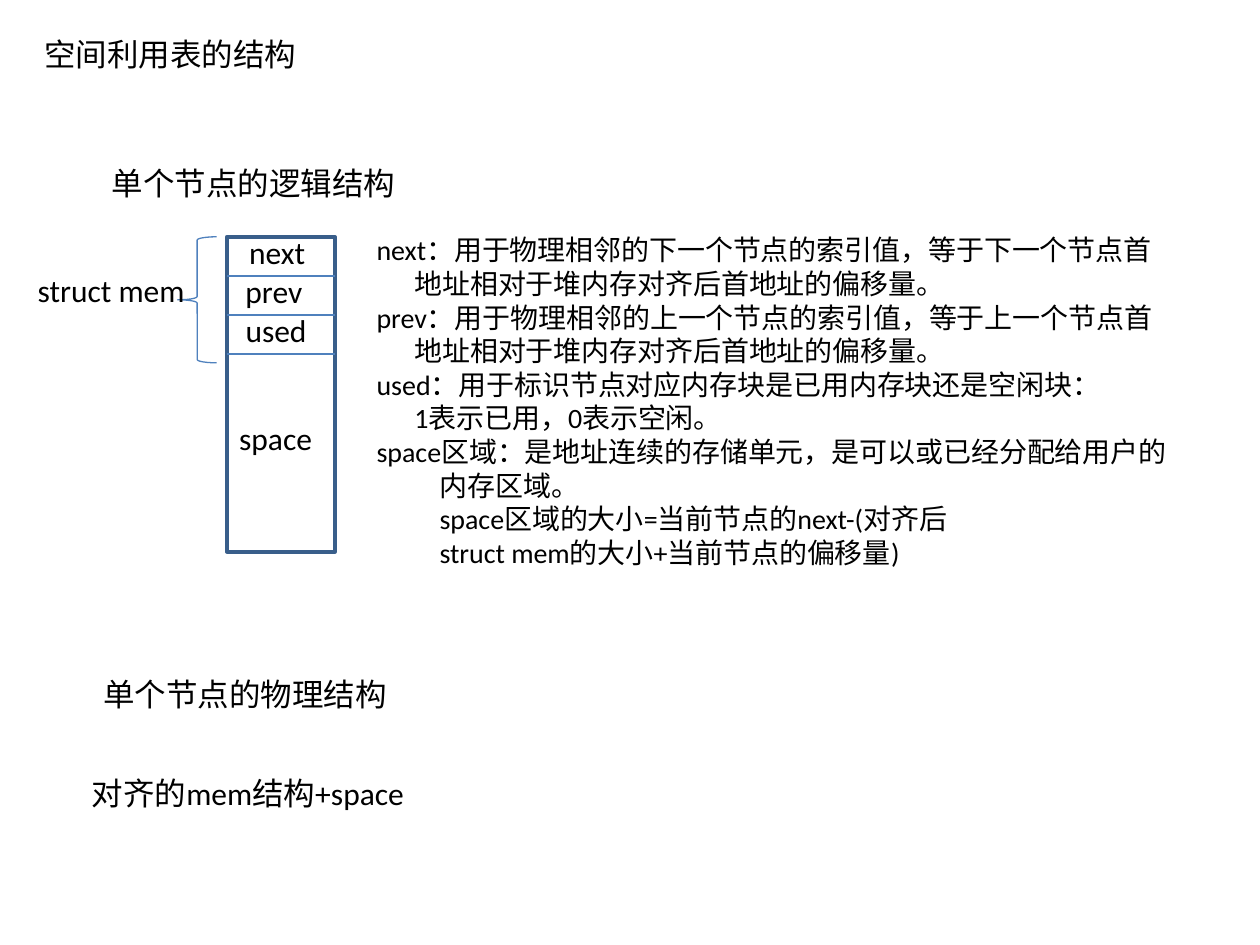
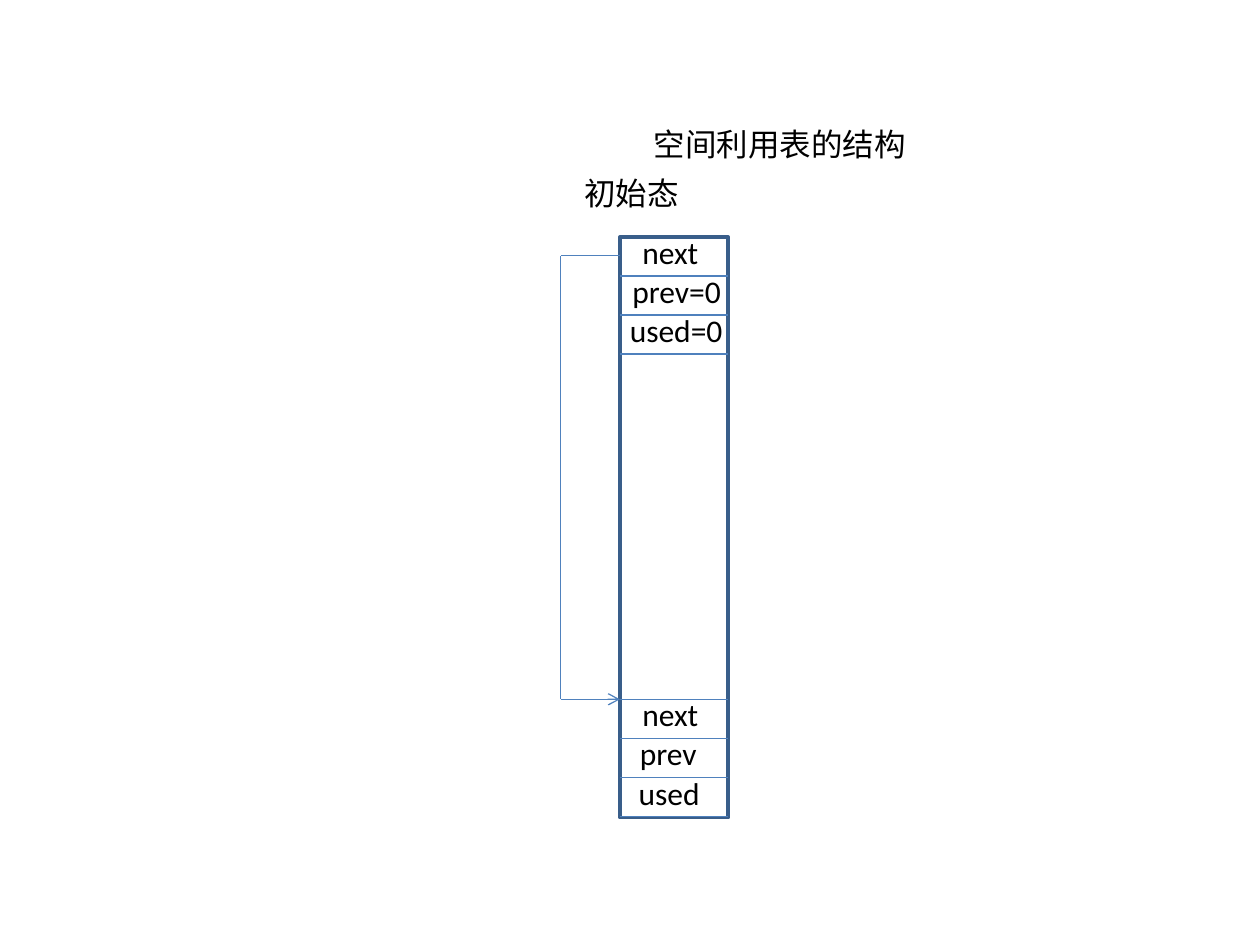
from dataclasses import dataclass

import pptx
import pptx.dml.color
import pptx.enum.shapes
import pptx.enum.text
import pptx.oxml
import pptx.oxml.ns
import pptx.presentation
import pptx.shapes.autoshape
import pptx.shapes.base
import pptx.shapes.connector
import pptx.slide
import pptx.util
from pptx.util import Inches

BLACK = pptx.dml.color.RGBColor(0x00, 0x00, 0x00)
BORDER_BLUE = pptx.dml.color.RGBColor(0x39, 0x5E, 0x8A)
LINE_BLUE = pptx.dml.color.RGBColor(0x4F, 0x81, 0xBD)
FONT = "Calibri"
TITLE = "空间利用表的结构"
TITLE_WIDTH = 2.23
TITLE_ONLY_LAYOUT = 5

TEXT_HEIGHT = 0.4
BLOCK_TOP = 1.88
BLOCK_WIDTH = 0.86
ROW_HEIGHT = 0.31
ROW_TEXT_RISE = 0.08  # a row's text box starts this far above the row


@dataclass(frozen=True)
class Label:
    text: str
    left: float
    top: float
    width: float


@dataclass(frozen=True)
class Field:
    """One row of a memory node; offset is measured from the block's left side."""
    text: str
    offset: float
    width: float


@dataclass(frozen=True)
class Line:
    text: str
    indent: float = 0


LOGICAL_FIELDS = [Field("next", 0.08, 0.67), Field("prev", 0.05, 0.67), Field("used", 0.05, 0.71)]
FIRST_NODE_FIELDS = [Field("next", 0.08, 0.67), Field("prev=0", 0, 0.92), Field("used=0", -0.02, 0.96)]
LAST_NODE_FIELDS = [Field("next", 0.08, 0.67), Field("prev", 0.06, 0.67), Field("used", 0.05, 0.71)]

LOGICAL_LABELS = [
    Label("struct mem", 0.2, 2.1, 1.39),
    Label("单个节点的逻辑结构", 0.79, 1.25, 2.47),
    Label("space", 1.8, 3.28, 0.8),
    Label("单个节点的物理结构", 0.72, 5.31, 2.47),
    Label("对齐的mem结构+space", 0.63, 6.09, 2.88),
]

FIELD_INDENT = 0.3
SPACE_INDENT = 0.5
EXPLANATION = [
    Line("next：用于物理相邻的下一个节点的索引值，等于下一个节点首"),
    Line("地址相对于堆内存对齐后首地址的偏移量。", FIELD_INDENT),
    Line("prev：用于物理相邻的上一个节点的索引值，等于上一个节点首"),
    Line("地址相对于堆内存对齐后首地址的偏移量。", FIELD_INDENT),
    Line("used：用于标识节点对应内存块是已用内存块还是空闲块："),
    Line("1表示已用，0表示空闲。", FIELD_INDENT),
    Line("space区域：是地址连续的存储单元，是可以或已经分配给用户的"),
    Line("内存区域。", SPACE_INDENT),
    Line("space区域的大小=当前节点的next-(对齐后", SPACE_INDENT),
    Line("struct mem的大小+当前节点的偏移量)", SPACE_INDENT),
]


def write_text(shape: pptx.shapes.autoshape.Shape, lines: list[Line], *,
               size: float = 18, wrap: bool = False) -> None:
    frame = shape.text_frame
    frame.word_wrap = wrap
    frame.auto_size = pptx.enum.text.MSO_AUTO_SIZE.SHAPE_TO_FIT_TEXT
    frame.vertical_anchor = pptx.enum.text.MSO_ANCHOR.TOP
    for index, line in enumerate(lines):
        paragraph = frame.add_paragraph() if index else frame.paragraphs[0]
        paragraph.alignment = pptx.enum.text.PP_ALIGN.LEFT
        if line.indent:
            paragraph._p.get_or_add_pPr().set("marL", str(Inches(line.indent)))
        run = paragraph.add_run()
        run.text = line.text
        run.font.name = FONT
        run.font.size = pptx.util.Pt(size)
        run.font.color.rgb = BLACK


def place(shape: pptx.shapes.base.BaseShape, left: float, top: float,
          width: float, height: float) -> None:
    shape.left, shape.top = Inches(left), Inches(top)
    shape.width, shape.height = Inches(width), Inches(height)


def add_titled_slide(presentation: pptx.presentation.Presentation,
                     left: float, top: float) -> pptx.slide.Slide:
    slide = presentation.slides.add_slide(presentation.slide_layouts[TITLE_ONLY_LAYOUT])
    title = slide.shapes.title
    place(title, left, top, TITLE_WIDTH, TEXT_HEIGHT)
    write_text(title, [Line(TITLE)])
    return slide


def add_label(slide: pptx.slide.Slide, label: Label) -> None:
    box = slide.shapes.add_textbox(Inches(label.left), Inches(label.top),
                                   Inches(label.width), Inches(TEXT_HEIGHT))
    write_text(box, [Line(label.text)])


def add_outline(slide: pptx.slide.Slide, kind: pptx.enum.shapes.MSO_SHAPE,
                left: float, top: float, width: float, height: float,
                color: pptx.dml.color.RGBColor, weight: float) -> None:
    """Add an unfilled preset shape."""
    shape = slide.shapes.add_shape(kind, Inches(left), Inches(top), Inches(width), Inches(height))
    shape.shadow.inherit = False
    shape.fill.background()
    shape.line.color.rgb = color
    shape.line.width = pptx.util.Pt(weight)


def add_line(slide: pptx.slide.Slide, start: tuple[float, float], end: tuple[float, float],
             arrow: bool = False) -> None:
    connector = slide.shapes.add_connector(
        pptx.enum.shapes.MSO_CONNECTOR.STRAIGHT,
        Inches(start[0]), Inches(start[1]), Inches(end[0]), Inches(end[1]))
    connector.line.color.rgb = LINE_BLUE
    connector.line.width = pptx.util.Pt(0.75)
    if arrow:
        tail = pptx.oxml.parse_xml(f'<a:tailEnd {pptx.oxml.ns.nsdecls("a")} type="arrow"/>')
        connector.line._get_or_add_ln().append(tail)
    effects = pptx.oxml.parse_xml(f'<a:effectLst {pptx.oxml.ns.nsdecls("a")}/>')
    connector._element.spPr.append(effects)


def add_block(slide: pptx.slide.Slide, left: float, height: float) -> None:
    add_outline(slide, pptx.enum.shapes.MSO_SHAPE.RECTANGLE,
                left, BLOCK_TOP, BLOCK_WIDTH, height, BORDER_BLUE, 2)


def add_divider(slide: pptx.slide.Slide, left: float, top: float) -> None:
    add_line(slide, (left, top), (left + BLOCK_WIDTH, top))


def add_fields(slide: pptx.slide.Slide, left: float, top: float, fields: list[Field]) -> None:
    """Stack the fields of a node, each closed by a divider."""
    for row, field in enumerate(fields):
        row_top = top + row * ROW_HEIGHT
        add_divider(slide, left, row_top + ROW_HEIGHT)
        add_label(slide, Label(field.text, left + field.offset, row_top - ROW_TEXT_RISE, field.width))


def build_node_slide(presentation: pptx.presentation.Presentation) -> None:
    slide = add_titled_slide(presentation, 0.25, 0.23)
    block_left = 1.8
    add_block(slide, block_left, 2.5)
    add_fields(slide, block_left, BLOCK_TOP, LOGICAL_FIELDS)
    add_outline(slide, pptx.enum.shapes.MSO_SHAPE.LEFT_BRACE,
                1.41, BLOCK_TOP, 0.31, 1, LINE_BLUE, 0.75)
    for label in LOGICAL_LABELS:
        add_label(slide, label)
    explanation = slide.shapes.add_textbox(Inches(2.89), Inches(1.8), Inches(6.72), Inches(3.03))
    write_text(explanation, EXPLANATION, size=16, wrap=True)


def build_initial_state_slide(presentation: pptx.presentation.Presentation) -> None:
    slide = add_titled_slide(presentation, 5.09, 0.94)
    add_label(slide, Label("初始态", 4.54, 1.33, 0.97))
    block_left, last_node_top = 4.92, 5.55
    add_block(slide, block_left, 4.61)
    add_fields(slide, block_left, BLOCK_TOP, FIRST_NODE_FIELDS)
    add_divider(slide, block_left, last_node_top)
    add_fields(slide, block_left, last_node_top, LAST_NODE_FIELDS)

    link_left, link_top = 4.45, 2.03
    add_line(slide, (block_left, link_top), (link_left, link_top))
    add_line(slide, (link_left, link_top), (link_left, last_node_top))
    add_line(slide, (link_left, last_node_top), (block_left, last_node_top), arrow=True)


def main() -> None:
    presentation = pptx.Presentation()
    presentation.slide_width = Inches(10)
    presentation.slide_height = Inches(7.5)
    build_node_slide(presentation)
    build_initial_state_slide(presentation)
    presentation.save("out.pptx")


if __name__ == "__main__":
    main()
